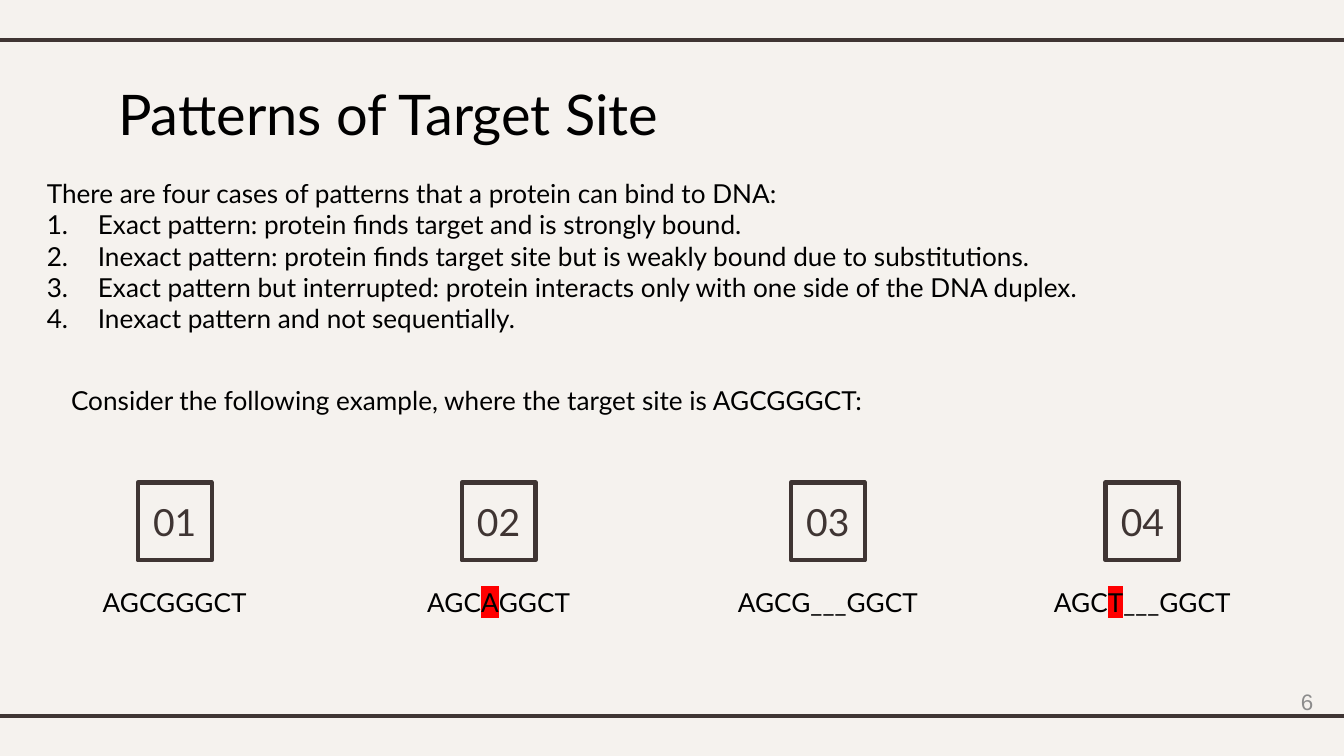
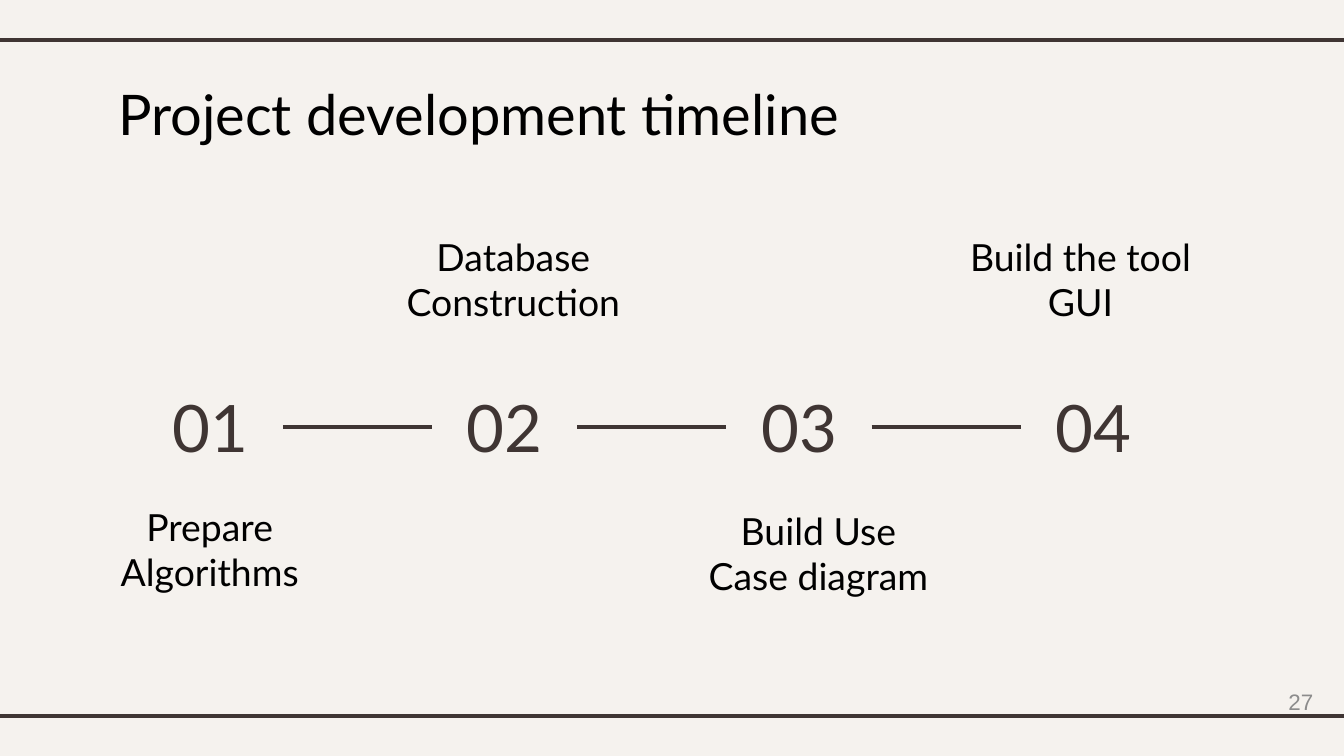
from dataclasses import dataclass
from typing import Optional

from lxml.etree import SubElement
from pptx import Presentation
from pptx.dml.color import RGBColor
from pptx.enum.shapes import MSO_CONNECTOR as Conn, MSO_SHAPE as Shp
from pptx.enum.text import MSO_ANCHOR as Anchor, MSO_AUTO_SIZE as Auto, PP_ALIGN as Align
from pptx.oxml.ns import qn
from pptx.util import Inches, Pt

CELL = Inches(0.1)
COLS, ROWS = 100, 56.25
PAPER, INK, BLACK, GREY, RED = "F5F2EE", "3F3533", "000000", "8C8C8C", "FF0000"
FONT = "Lato"
RULE_ROWS = (3, 53.3)
MIDDLE_ROW = 31.8
FIRST_STEP, STEP_PITCH, STEP_HALF = 15.65, 21.9, 5.4


@dataclass(frozen=True)
class Style:
    size: float
    color: str = BLACK
    font: str = FONT
    align: Optional[Align] = None
    anchor: Anchor = Anchor.TOP
    inset: float = 0.5


@dataclass(frozen=True)
class Pattern:
    center: float
    before: str
    mutated: str = ""
    after: str = ""


@dataclass(frozen=True)
class Step:
    center: float
    top: float
    lines: tuple[str, ...]


TITLE = Style(30, align=Align.LEFT, inset=1)
BODY = Style(14)
BADGE = Style(20, INK, align=Align.CENTER, anchor=Anchor.MIDDLE, inset=0)
SEQUENCE = Style(14, align=Align.CENTER, inset=1)
NUMBER = Style(35, INK, align=Align.CENTER, anchor=Anchor.MIDDLE, inset=1)
LABEL = Style(20, align=Align.CENTER, anchor=Anchor.MIDDLE, inset=1)
PAGE = Style(12, GREY, "Arial", Align.RIGHT, Anchor.MIDDLE)

INTRO = "There are four cases of patterns that a protein can bind to DNA:"
CASES = (
    "Exact pattern: protein finds target and is strongly bound.",
    "Inexact pattern: protein finds target site but is weakly bound due to substitutions.",
    "Exact pattern but interrupted: protein interacts only with one side of the DNA duplex.",
    "Inexact pattern and not sequentially.",
)
EXAMPLE = "Consider the following example, where the target site is AGCGGGCT:"
PATTERNS = (
    Pattern(13, "AGCGGGCT"),
    Pattern(37.1, "AGC", "A", "GGCT"),
    Pattern(61.6, "AGCG___GGCT"),
    Pattern(85, "AGC", "T", "___GGCT"),
)
STEPS = (
    Step(15.6, 38.9, ("Prepare Algorithms",)),
    Step(38.2, 18.8, ("Database", "Construction")),
    Step(60.9, 39.2, ("Build Use Case diagram",)),
    Step(80.4, 18.8, ("Build the tool GUI",)),
)


def grid(*cells: float) -> list[int]:
    return [round(c * CELL) for c in cells]


def rgb(code: str) -> RGBColor:
    return RGBColor.from_string(code)


def style_text(sp, style: Style) -> None:
    tf = sp.text_frame
    tf.word_wrap = True
    tf.auto_size = Auto.NONE
    tf.vertical_anchor = style.anchor
    side = max(style.inset, 1) if style.inset else 0
    tf.margin_left = tf.margin_right = round(side * CELL)
    tf.margin_top = tf.margin_bottom = round(style.inset * CELL)
    for p in tf.paragraphs:
        p.alignment = style.align
        for r in p.runs:
            r.font.size = Pt(style.size)
            r.font.name = style.font
            r.font.color.rgb = rgb(style.color)


def add_text(slide, left: float, top: float, width: float, height: float,
             lines: tuple[str, ...], style: Style):
    sp = slide.shapes.add_textbox(*grid(left, top, width, height))
    sp.text_frame.text = "\n".join(lines)
    style_text(sp, style)
    return sp


def add_rule(slide, left: float, right: float, row: float) -> None:
    line = slide.shapes.add_connector(Conn.STRAIGHT, *grid(left, row, right, row))
    line.line.color.rgb = rgb(INK)
    line.line.width = Pt(2.25)
    SubElement(line.element.spPr, qn("a:effectLst"))


def number_paragraph(p) -> None:
    pPr = p._p.get_or_add_pPr()
    indent = Inches(0.38)
    pPr.set("marL", str(indent))
    pPr.set("indent", str(-indent))
    SubElement(pPr, qn("a:buFont"), typeface=FONT)
    SubElement(pPr, qn("a:buAutoNum"), type="arabicPeriod")


def highlight(r, color: str) -> None:
    rPr = r.font._element
    mark = SubElement(rPr, qn("a:highlight"))
    SubElement(mark, qn("a:srgbClr"), val=color)
    rPr.find(qn("a:solidFill")).addnext(mark)


def add_slide(prs, title: str, page: int):
    slide = prs.slides.add_slide(prs.slide_layouts[5])
    for row in RULE_ROWS:
        add_rule(slide, -0.8, COLS + 0.8, row)
    sp = slide.shapes.title
    sp.left, sp.top, sp.width, sp.height = grid(7.8, 4.9, 84.4, 6.3)
    sp.text_frame.text = title
    style_text(sp, TITLE)
    add_text(slide, 76.2, 50.7, 22.5, 3, (str(page),), PAGE)
    return slide


def add_badge(slide, center: float, text: str) -> None:
    width = 5.5
    sp = slide.shapes.add_shape(Shp.RECTANGLE, *grid(center - width / 2, 35.9, width, 5.8))
    sp.shadow.inherit = False
    sp.fill.solid()
    sp.fill.fore_color.rgb = rgb(PAPER)
    sp.line.color.rgb = rgb(INK)
    sp.line.width = Pt(2.25)
    sp.text_frame.text = text
    style_text(sp, BADGE)


def add_sequence(slide, pattern: Pattern) -> None:
    width = 16.4
    sp = add_text(slide, pattern.center - width / 2, 42.6, width, 4.6,
                  (pattern.before,), SEQUENCE)
    if pattern.mutated:
        p = sp.text_frame.paragraphs[0]
        for part in (pattern.mutated, pattern.after):
            p.add_run().text = part
        style_text(sp, SEQUENCE)
        highlight(p.runs[1], RED)


def build_patterns(prs) -> None:
    slide = add_slide(prs, "Patterns of Target Site", 6)
    cases = add_text(slide, 2.5, 12.7, 82.5, 12.8, (INTRO, *CASES), BODY)
    for p in cases.text_frame.paragraphs[1:]:
        number_paragraph(p)
    add_text(slide, 4.3, 28.1, 82.5, 3.4, (EXAMPLE,), BODY)
    for n, pattern in enumerate(PATTERNS, 1):
        add_badge(slide, pattern.center, f"{n:02}")
        add_sequence(slide, pattern)


def build_timeline(prs) -> None:
    slide = add_slide(prs, "Project development timeline", 27)
    width = 18.8
    for i, step in enumerate(STEPS):
        center = FIRST_STEP + i * STEP_PITCH
        add_text(slide, center - STEP_HALF, 28.1, 2 * STEP_HALF, 7.3, (f"{i + 1:02}",), NUMBER)
        add_text(slide, step.center - width / 2, step.top, width, 3.9, step.lines, LABEL)
        if i < len(STEPS) - 1:
            add_rule(slide, center + STEP_HALF, center + STEP_PITCH - STEP_HALF, MIDDLE_ROW)


def main() -> None:
    prs = Presentation()
    prs.slide_width, prs.slide_height = grid(COLS, ROWS)
    fill = prs.slide_master.background.fill
    fill.solid()
    fill.fore_color.rgb = rgb(PAPER)
    build_patterns(prs)
    build_timeline(prs)
    prs.save("out.pptx")


if __name__ == "__main__":
    main()
